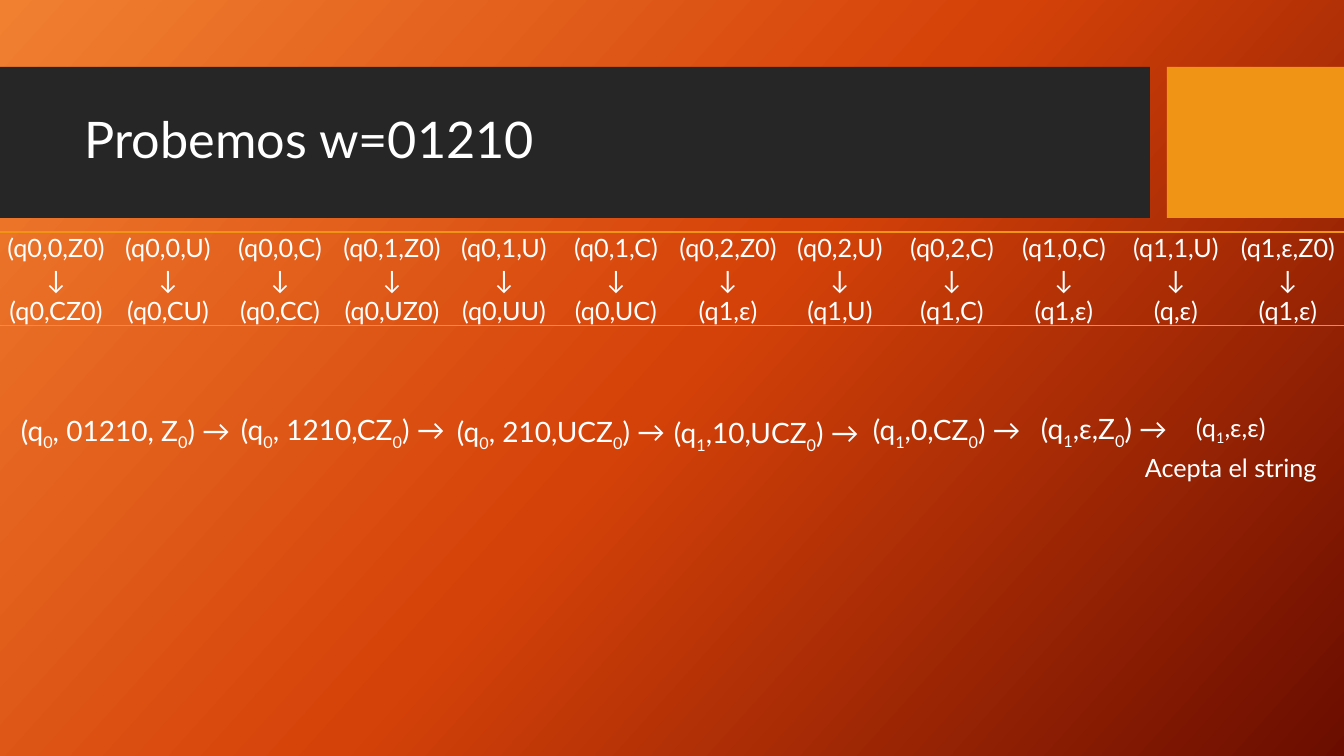
import copy

import lxml.etree
import pptx
import pptx.dml.color
import pptx.enum.shapes
import pptx.enum.text
import pptx.oxml.ns
import pptx.util

SLIDE_WIDTH, SLIDE_HEIGHT = 1344, 756
EMU_PER_PX = 12192000 / SLIDE_WIDTH
FONT = "Lato"
NO_GRID_STYLE = "{2D5ABB26-0587-4C30-8999-92F81FD0307C}"

WHITE = pptx.dml.color.RGBColor(0xFF, 0xFF, 0xFF)
CHARCOAL = pptx.dml.color.RGBColor(0x26, 0x26, 0x26)
AMBER = pptx.dml.color.RGBColor(0xF0, 0x94, 0x15)
GRADIENT = [
    (0, pptx.dml.color.RGBColor(0xF1, 0x80, 0x31)),
    (0.5, pptx.dml.color.RGBColor(0xD5, 0x42, 0x09)),
    (1, pptx.dml.color.RGBColor(0x6A, 0x0D, 0x00)),
]

TRANSITIONS = [
    ("(q0,0,Z0)", "(q0,CZ0)"),
    ("(q0,0,U)", "(q0,CU)"),
    ("(q0,0,C)", "(q0,CC)"),
    ("(q0,1,Z0)", "(q0,UZ0)"),
    ("(q0,1,U)", "(q0,UU)"),
    ("(q0,1,C)", "(q0,UC)"),
    ("(q0,2,Z0)", "(q1,ε)"),
    ("(q0,2,U)", "(q1,U)"),
    ("(q0,2,C)", "(q1,C)"),
    ("(q1,0,C)", "(q1,ε)"),
    ("(q1,1,U)", "(q,ε)"),
    ("(q1,ε,Z0)", "(q1,ε)"),
]

STEPS = [
    ("(q_0, 01210, Z_0) →", 11, 409, 257),
    ("(q_0, 1210,CZ_0) →", 231, 408, 235),
    ("(q_0, 210,UCZ_0) →", 447, 410, 257),
    ("(q_1,10,UCZ_0) →", 664, 411, 218),
    ("(q_1,0,CZ_0) →", 863, 408, 187),
    ("(q_1,ε,Z_0) →", 1031, 407, 177),
]


def px(length):
    return pptx.util.Emu(round(length * EMU_PER_PX))


def write_text(frame, text, size=18, align=None, spacing=None):
    paragraph = frame.paragraphs[0]
    paragraph.alignment = align
    paragraph.line_spacing = spacing

    def add_run(content, subscript=False):
        if not content:
            return
        run = paragraph.add_run()
        run.text = content
        run.font.name = FONT
        run.font.size = pptx.util.Pt(size)
        run.font.color.rgb = WHITE
        if subscript:
            run._r.get_or_add_rPr().set("baseline", "-25000")

    first, *rest = text.split("_")
    add_run(first)
    for part in rest:
        add_run(part[0], subscript=True)
        add_run(part[1:])


def add_text(slide, text, left, top, width, height,
             anchor=pptx.enum.text.MSO_ANCHOR.TOP, **text_format):
    shape = slide.shapes.add_textbox(px(left), px(top), px(width), px(height))
    shape.text_frame.word_wrap = True
    shape.text_frame.vertical_anchor = anchor
    write_text(shape.text_frame, text, **text_format)


def add_block(slide, left, top, width, height, color):
    shape = slide.shapes.add_shape(
        pptx.enum.shapes.MSO_SHAPE.RECTANGLE, px(left), px(top), px(width), px(height))
    shape.shadow.inherit = False
    shape.fill.solid()
    shape.fill.fore_color.rgb = color
    shape.line.fill.background()


def paint_background(slide):
    fill = slide.background.fill
    fill.gradient()
    fill.gradient_angle = 318
    stop_list = next(slide._element.iter(pptx.oxml.ns.qn("a:gsLst")))
    stop_list.append(copy.deepcopy(stop_list[-1]))
    for stop, (position, color) in zip(fill.gradient_stops, GRADIENT):
        stop.position = position
        stop.color.rgb = color


def add_border(cell, side):
    border = lxml.etree.Element(pptx.oxml.ns.qn("a:" + side), w="12700")
    fill = lxml.etree.SubElement(border, pptx.oxml.ns.qn("a:solidFill"))
    lxml.etree.SubElement(fill, pptx.oxml.ns.qn("a:srgbClr"), val=str(AMBER))
    cell._tc.get_or_add_tcPr().insert(0, border)


def add_transition_table(slide, left, top, width, row_height):
    rows = list(zip(*((source, "↓", target) for source, target in TRANSITIONS)))
    table = slide.shapes.add_table(
        len(rows), len(TRANSITIONS), px(left), px(top), px(width),
        px(row_height * len(rows))).table
    table.first_row = False
    table.horz_banding = False
    next(table._tbl.iter(pptx.oxml.ns.qn("a:tableStyleId"))).text = NO_GRID_STYLE
    borders = {0: "lnT", len(rows) - 1: "lnB"}
    for row_index, row in enumerate(rows):
        for column_index, text in enumerate(row):
            cell = table.cell(row_index, column_index)
            cell.margin_left = cell.margin_right = cell.margin_top = px(1)
            cell.margin_bottom = 0
            cell.vertical_anchor = pptx.enum.text.MSO_ANCHOR.BOTTOM
            cell.fill.background()
            write_text(cell.text_frame, text, align=pptx.enum.text.PP_ALIGN.CENTER)
            if row_index in borders:
                add_border(cell, borders[row_index])


def main():
    presentation = pptx.Presentation()
    presentation.slide_width = px(SLIDE_WIDTH)
    presentation.slide_height = px(SLIDE_HEIGHT)
    slide = presentation.slides.add_slide(presentation.slide_layouts[6])
    paint_background(slide)
    add_block(slide, 0, 67, 1150, 151, CHARCOAL)
    add_block(slide, 1167, 67, 177, 151, AMBER)
    add_text(slide, "Probemos w=01210", 75, 83, 1059, 119, size=36, spacing=0.9,
             anchor=pptx.enum.text.MSO_ANCHOR.MIDDLE)
    add_transition_table(slide, 0, 232, SLIDE_WIDTH, 31)
    for text, left, top, width in STEPS:
        add_text(slide, text, left, top, width, 44, size=20)
    add_text(slide, "(q_1,ε,ε)", 1186, 407, 109, 40)
    add_text(slide, "Acepta el string", 1135, 447, 209, 40)
    presentation.save("out.pptx")


if __name__ == "__main__":
    main()
